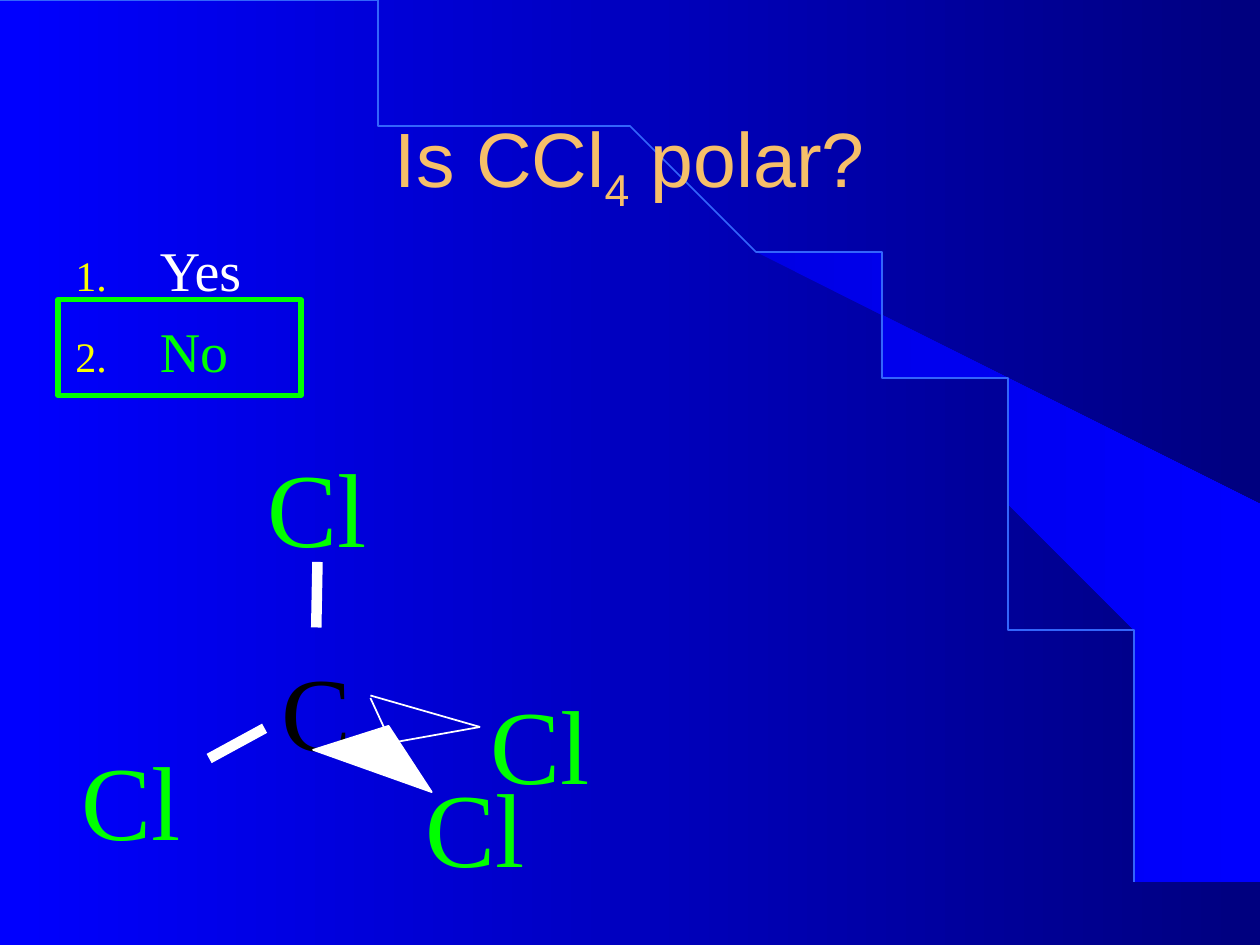
import math
import pptx
import pptx.util
import pptx.dml.color
import pptx.enum.shapes
import pptx.enum.text
import pptx.oxml
import pptx.oxml.ns

Inches, Pt = pptx.util.Inches, pptx.util.Pt
SHAPE = pptx.enum.shapes.MSO_SHAPE
ALIGN = pptx.enum.text.PP_ALIGN

COLORS = {
    "blue": "0000FF", "navy": "00007F", "deep": "0000E5", "arc": "3365FB",
    "gold": "F6BF69", "yellow": "FAFD00", "green": "00FF00",
    "white": "FFFFFF", "black": "000000",
}


def color(name):
    return pptx.dml.color.RGBColor.from_string(COLORS[name])


def grade(fill, first, last):
    fill.gradient()
    fill.gradient_angle = 0
    for stop, name, place in zip(fill.gradient_stops, (first, last), (0, 1)):
        stop.color.rgb = color(name)
        stop.position = place


def stroke(shape, name, width):
    shape.line.color.rgb = color(name)
    shape.line.width = Pt(width)


def add_run(para, text, size, name, font="Times New Roman"):
    run = para.add_run()
    run.text = text
    run.font.size = Pt(size)
    run.font.name = font
    run.font.color.rgb = color(name)
    return run


def add_box(slide, left, top, width, height, inset):
    box = slide.shapes.add_textbox(*map(Inches, (left, top, width, height)))
    box.text_frame.word_wrap = True
    box.text_frame.margin_top = Inches(inset)
    return box


def add_atom(slide, text, name, left, top):
    box = add_box(slide, left, top, 1.24, 1.1, 0.15)
    para = box.text_frame.paragraphs[0]
    para.alignment = ALIGN.CENTER
    add_run(para, text, 60, name)
    return box


def add_bond(slide, start, end, width):
    bond = slide.shapes.add_connector(
        pptx.enum.shapes.MSO_CONNECTOR.STRAIGHT, *map(Inches, start + end))
    stroke(bond, "white", width)
    props = bond._element.spPr
    props.append(props.makeelement(pptx.oxml.ns.qn("a:effectLst"), {}))
    return bond


def add_path(slide, points, close):
    maker = slide.shapes.build_freeform(*points[0], scale=Inches(1))
    maker.add_line_segments(points[1:], close=close)
    shape = maker.convert_to_shape()
    shape.shadow.inherit = False
    return shape


def arc(first, last, step):
    """Points of the quarter ellipse around the lower left corner."""
    turns = [math.radians(deg) for deg in range(first, last + 1, step)]
    return [(9.18 * math.sin(t), 7.49 - 7.47 * math.cos(t)) for t in turns]


def add_backdrop(slide):
    grade(slide.background.fill, "blue", "navy")
    edge = [(9.99, 7.49), (9.99, 4.23), (5.89, 1.73)]
    sweep = add_path(slide, edge + arc(40, 90, 2), True)
    grade(sweep.fill, "deep", "blue")
    sweep.line.fill.background()
    curve = add_path(slide, arc(0, 90, 1), False)
    curve.fill.background()
    stroke(curve, "arc", 1)


def add_title(slide):
    title = slide.shapes.title
    title.left, title.top = Inches(0.75), Inches(0.67)
    title.width, title.height = Inches(8.5), Inches(1.25)
    title.text_frame.vertical_anchor = pptx.enum.text.MSO_ANCHOR.MIDDLE
    para = title.text_frame.paragraphs[0]
    para.alignment = ALIGN.CENTER
    for text, base in (("Is CCl", 0), ("4", -25000), (" polar?", 0)):
        run = add_run(para, text, 44, "gold", "Arial")
        if base:
            run._r.get_or_add_rPr().set("baseline", str(base))
    # Keep the title in front of the backdrop
    slide.shapes._spTree.append(title._element)


def add_choices(slide):
    frame = add_box(slide, 0.5, 1.75, 4.5, 4.5, 0.12).text_frame
    space = pptx.oxml.ns.nsdecls("a")
    marks = (
        f'<a:buClr {space}><a:srgbClr val="{COLORS["yellow"]}"/></a:buClr>',
        f'<a:buSzPct {space} val="75000"/>',
        f'<a:buFont {space} typeface="Times New Roman"/>',
        f'<a:buAutoNum {space} type="arabicPeriod"/>',
    )
    for i, (text, name) in enumerate((("Yes", "white"), ("No", "green"))):
        para = frame.add_paragraph() if i else frame.paragraphs[0]
        props = para._p.get_or_add_pPr()
        props.set("marL", str(Inches(0.67)))
        props.set("indent", str(-Inches(0.67)))
        for mark in marks:
            props.append(pptx.oxml.parse_xml(mark))
        if i:
            para.space_before = Pt(8)
        add_run(para, text, 32, name)


def add_molecule(slide):
    core = add_atom(slide, "C", "black", 1.89, 4.98)
    crown = add_atom(slide, "Cl", "green", 1.9, 3.36)
    for left, top in ((0.42, 5.69), (3.67, 5.24), (3.15, 5.9)):
        add_atom(slide, "Cl", "green", left, top)

    # Bonds in the plane
    add_bond(slide, (1.66, 6.02), (2.1, 5.78), 6)
    stem = add_bond(slide, (2.52, 4.98), (2.52, 4.45), 6)
    stem.begin_connect(core, 0)
    stem.end_connect(crown, 2)

    # Open wedge, pointing back
    for start, end in (((2.94, 5.54), (3.12, 5.93)),
                       ((2.94, 5.52), (3.81, 5.77)),
                       ((3.81, 5.77), (3.08, 5.9))):
        add_bond(slide, start, end, 1)

    # Solid wedge, pointing forward
    wedge = slide.shapes.add_shape(
        SHAPE.ISOSCELES_TRIANGLE, *map(Inches, (2.52, 5.75, 1, 0.38)))
    wedge.rotation = 19.6
    wedge.shadow.inherit = False
    wedge.fill.solid()
    wedge.fill.fore_color.rgb = color("white")
    stroke(wedge, "white", 1)


def add_frame(slide):
    frame = slide.shapes.add_shape(
        SHAPE.RECTANGLE, *map(Inches, (0.46, 2.38, 1.93, 0.76)))
    frame.shadow.inherit = False
    frame.fill.background()
    stroke(frame, "green", 3)


def main():
    deck = pptx.Presentation()
    deck.slide_width, deck.slide_height = Inches(10), Inches(7.5)
    slide = deck.slides.add_slide(deck.slide_layouts[5])
    add_backdrop(slide)
    add_choices(slide)
    add_molecule(slide)
    add_title(slide)
    add_frame(slide)
    deck.save("out.pptx")


if __name__ == "__main__":
    main()
